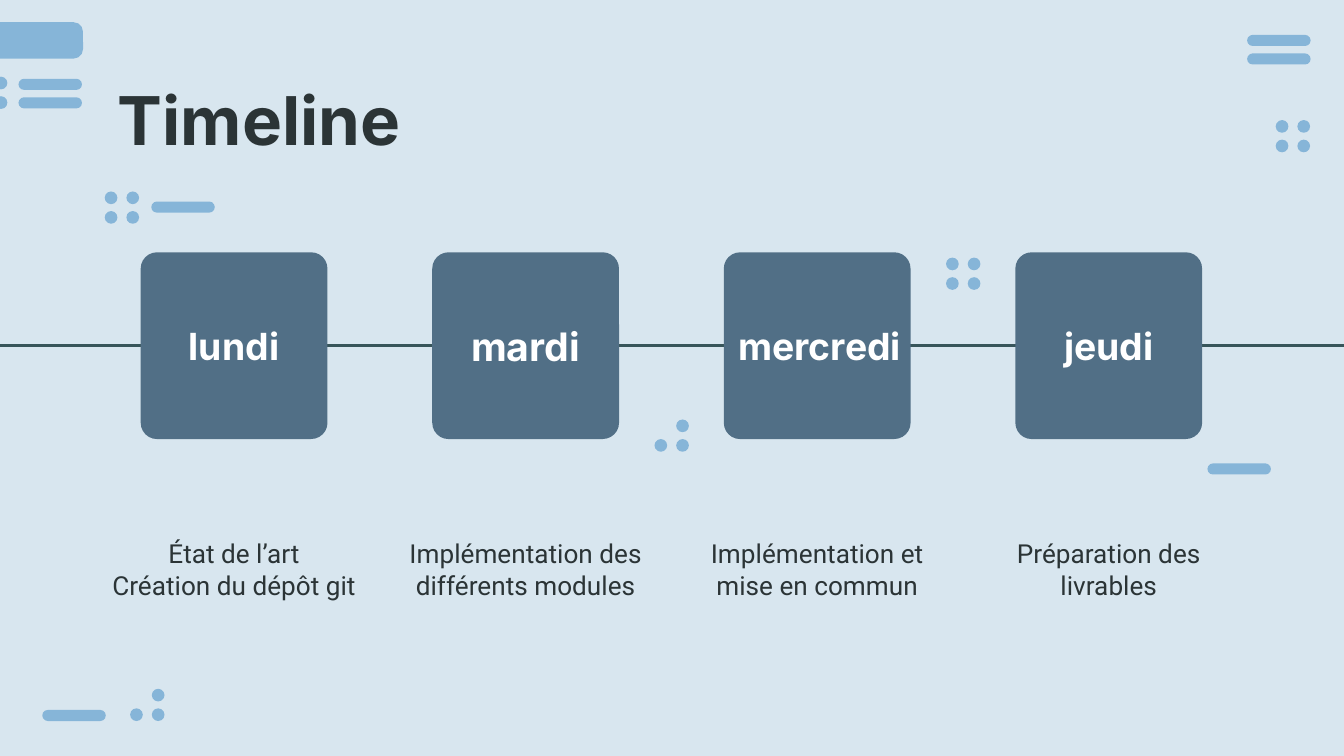
from pptx import Presentation
from pptx.dml.color import RGBColor
from pptx.enum.shapes import MSO_CONNECTOR, MSO_SHAPE
from pptx.enum.text import MSO_ANCHOR, PP_ALIGN
from pptx.oxml.ns import qn
from pptx.util import Cm, Pt
from lxml import etree

WIDTH, HEIGHT = 25.4, 14.29
BACKGROUND, ACCENT, CARD, LINE, INK, WHITE = (
    "D8E6EF", "86B5D8", "516F86", "37555A", "2B3436", "FFFFFF")
TOP_LEFT, TOP_RIGHT, BOTTOM_LEFT, BOTTOM_RIGHT = (0, 0), (1, 0), (0, 1), (1, 1)
SQUARE = (TOP_LEFT, TOP_RIGHT, BOTTOM_LEFT, BOTTOM_RIGHT)
CORNER = (TOP_RIGHT, BOTTOM_LEFT, BOTTOM_RIGHT)
COLUMN = (TOP_LEFT, BOTTOM_LEFT)

CLUSTERS = [
    (-0.1, 1.45, COLUMN),
    (24.11, 2.27, SQUARE),
    (2.46, 13.02, CORNER),
    (1.98, 3.62, SQUARE),
    (17.88, 4.87, SQUARE),
    (12.37, 7.93, CORNER),
]
BARS = [(0.35, 1.49), (0.35, 1.84), (0.8, 13.42), (23.57, 0.66),
        (23.57, 1.01), (2.86, 3.81), (22.82, 8.76)]
DAYS = [
    ("lundi", 20, 0.05, 3.43, ["État de l’art", "Création du dépôt git"]),
    ("mardi", 21, 0.05, 3.43, ["Implémentation des différents modules"]),
    ("mercredi", 20, -0.03, 3.68, ["Implémentation et mise en commun"]),
    ("jeudi", 20, 0.05, 3.43, ["Préparation des livrables"]),
]


def rgb(value):
    return RGBColor.from_string(value)


def add_filled(s, kind, box, color, radius=None):
    sp = s.shapes.add_shape(kind, *map(Cm, box))
    sp.shadow.inherit = False
    sp.fill.solid()
    sp.fill.fore_color.rgb = rgb(color)
    sp.line.fill.background()
    if radius is not None:
        sp.adjustments[0] = radius


def add_text(s, box, lines, font, size, color, bold=False,
             align=PP_ALIGN.CENTER, anchor=MSO_ANCHOR.MIDDLE):
    tf = s.shapes.add_textbox(*map(Cm, box)).text_frame
    tf.word_wrap = True
    tf.vertical_anchor = anchor
    tf.margin_left = tf.margin_right = tf.margin_top = tf.margin_bottom = Cm(0.25)
    for i, line in enumerate(lines):
        p = tf.paragraphs[0] if i == 0 else tf.add_paragraph()
        p.text = line
        p.alignment = align
        p.font.name = font
        p.font.size = Pt(size)
        p.font.bold = bold
        p.font.color.rgb = rgb(color)


def add_line(s, start, end, y):
    line = s.shapes.add_connector(
        MSO_CONNECTOR.STRAIGHT, Cm(start), Cm(y), Cm(end), Cm(y))
    line.line.color.rgb = rgb(LINE)
    line.line.width = Pt(1.5)
    etree.SubElement(line._element.spPr, qn("a:effectLst"))


def add_dots(s, left, top, cells):
    for col, row in cells:
        box = (left + col * 0.41, top + row * 0.37, 0.24, 0.24)
        add_filled(s, MSO_SHAPE.OVAL, box, ACCENT)


def add_decoration(s):
    add_filled(s, MSO_SHAPE.ROUNDED_RECTANGLE, (-0.56, 0.42, 2.13, 0.69), ACCENT, 0.26)
    for left, top in BARS:
        add_filled(s, MSO_SHAPE.ROUNDED_RECTANGLE, (left, top, 1.2, 0.21), ACCENT, 0.5)
    for left, top, cells in CLUSTERS:
        add_dots(s, left, top, cells)


def add_day(s, left, top, side, day):
    name, size, shift, width, tasks = day
    add_filled(s, MSO_SHAPE.ROUNDED_RECTANGLE, (left, top, side, side), CARD, 0.087)
    add_text(s, (left + shift, top + side / 2 - 0.77, width, 1.55), [name],
             "Inter", size, WHITE, bold=True)
    add_text(s, (left - 0.94, top + 4.22, 5.41, side), tasks, "Roboto", 14, INK)


def add_timeline(s, left, top, side, pitch):
    lefts = [left + i * pitch for i in range(len(DAYS))]
    starts = [0] + [x + side - 0.13 for x in lefts]
    ends = [x + 0.13 for x in lefts] + [WIDTH]
    for start, end in zip(starts, ends):
        add_line(s, start, end, top + side / 2)
    for x, day in zip(lefts, DAYS):
        add_day(s, x, top, side, day)


def main():
    prs = Presentation()
    prs.slide_width, prs.slide_height = Cm(WIDTH), Cm(HEIGHT)
    s = prs.slides.add_slide(prs.slide_layouts[6])
    s.background.fill.solid()
    s.background.fill.fore_color.rgb = rgb(BACKGROUND)
    add_decoration(s)
    add_timeline(s, 2.66, 4.77, 3.53, 5.51)
    add_text(s, (1.98, 1.24, 21.44, 2.06), ["Timeline"], "Inter", 36, INK,
             bold=True, align=PP_ALIGN.LEFT, anchor=MSO_ANCHOR.TOP)
    prs.save("out.pptx")


if __name__ == "__main__":
    main()
